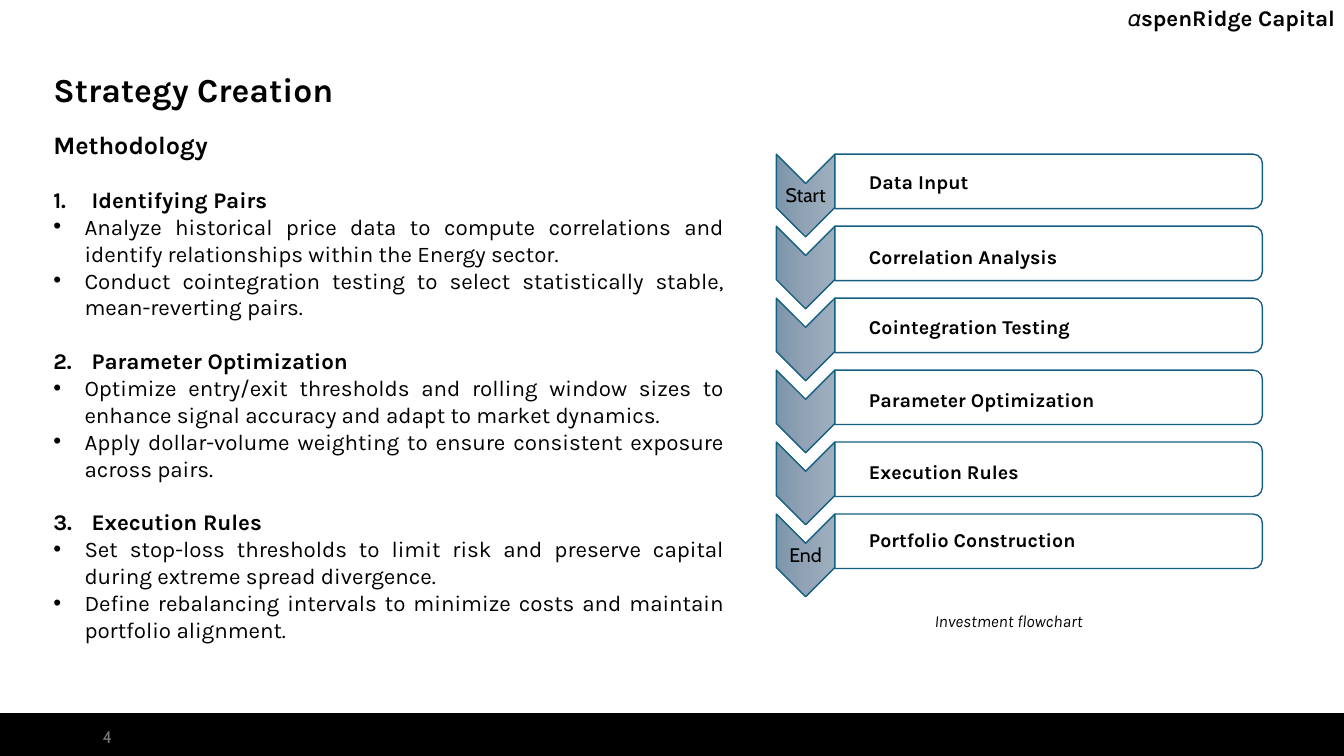
from lxml import etree
from pptx import Presentation
from pptx.dml.color import RGBColor
from pptx.enum.shapes import MSO_SHAPE as Shape
from pptx.enum.text import MSO_ANCHOR as Anchor, PP_ALIGN as Align
from pptx.oxml import parse_xml
from pptx.oxml.ns import nsdecls, qn
from pptx.util import Inches, Pt

# Content
TITLE = "Strategy Creation"
SUBTITLE = "Methodology"
SECTIONS = [
    ("Identifying Pairs", [
        "Analyze historical price data to compute correlations and identify "
        "relationships within the Energy sector.",
        "Conduct cointegration testing to select statistically stable, mean-reverting pairs.",
    ]),
    ("Parameter Optimization", [
        "Optimize entry/exit thresholds and rolling window sizes to enhance "
        "signal accuracy and adapt to market dynamics.",
        "Apply dollar-volume weighting to ensure consistent exposure across pairs.",
    ]),
    ("Execution Rules", [
        "Set stop-loss thresholds to limit risk and preserve capital during "
        "extreme spread divergence.",
        "Define rebalancing intervals to minimize costs and maintain portfolio alignment.",
    ]),
]
# Step, top of its label, word on its chevron
STEPS = [
    ("Data Input", 1.64, "Start"),
    ("Correlation Analysis", 2.38, ""),
    ("Cointegration Testing", 3.08, ""),
    ("Parameter Optimization", 3.80, ""),
    ("Execution Rules", 4.51, ""),
    ("Portfolio Construction", 5.19, "End"),
]
CAPTION = "Investment flowchart"
FIRM = "𝛼spenRidge Capital"
PAGE = "4"

COLORS = {"ink": "000000", "paper": "FFFFFF", "outline": "156082", "page": "797979",
          "light": "9EAFBF", "middle": "91A3B4", "dark": "7C95AB"}
FLOW_TOP, STEP_PITCH = 1.53, 0.714
PANEL_LEFT, PANEL_WIDTH, PANEL_HEIGHT = 8.28, 4.24, 0.54
CHEVRON_LEFT, CHEVRON_WIDTH, CHEVRON_HEIGHT = 7.7, 0.58, 0.82


def color(name):
    return RGBColor.from_string(COLORS[name])


def add_run(paragraph, text, size, bold=False, italic=False, font="Karla", ink="ink"):
    run = paragraph.add_run()
    run.text = text
    run.font.size, run.font.name = Pt(size), font
    run.font.bold, run.font.italic = bold, italic
    run.font.color.rgb = color(ink)


def add_box(left, top, width, height, wrap=True, anchor=Anchor.TOP):
    box = slide.shapes.add_textbox(Inches(left), Inches(top), Inches(width), Inches(height))
    box.text_frame.word_wrap = wrap
    box.text_frame.vertical_anchor = anchor
    return box.text_frame


def add_outlined(kind, left, top, width, height, line="outline", weight=1):
    shape = slide.shapes.add_shape(kind, Inches(left), Inches(top), Inches(width), Inches(height))
    shape.shadow.inherit = False
    shape.line.color.rgb = color(line)
    shape.line.width = Pt(weight)
    return shape


def add_turned(kind, left, top, width, height):
    """Add a shape turned by 90 degrees that covers the given area."""
    shift = (width - height) / 2
    shape = add_outlined(kind, left + shift, top - shift, height, width)
    shape.rotation = 90
    return shape


def set_marker(paragraph, indent, tag, **attributes):
    properties = paragraph._p.get_or_add_pPr()
    properties.set("marL", str(Inches(indent)))
    properties.set("indent", str(-Inches(indent)))
    if tag == "a:buChar":
        etree.SubElement(properties, qn("a:buFont")).set("typeface", "Arial")
    marker = etree.SubElement(properties, qn(tag))
    for key, value in attributes.items():
        marker.set(key, value)


def shade(shape):
    stops = "".join(f'<a:gs pos="{position}"><a:srgbClr val="{COLORS[name]}"/></a:gs>'
                    for position, name in [(0, "light"), (50000, "middle"), (100000, "dark")])
    gradient = parse_xml(f'<a:gradFill rotWithShape="1" {nsdecls("a")}><a:gsLst>{stops}</a:gsLst>'
                         '<a:lin ang="5400000" scaled="0"/></a:gradFill>')
    shape._element.spPr.find(qn("a:prstGeom")).addnext(gradient)


prs = Presentation()
prs.slide_width, prs.slide_height = Inches(13.33), Inches(7.5)
slide = prs.slides.add_slide(prs.slide_layouts[5])

# Footer band
footer = add_outlined(Shape.RECTANGLE, 0, 7.08, 13.33, 0.42, "ink", 1.5)
footer.fill.solid()
footer.fill.fore_color.rgb = color("ink")

# Title
title = slide.shapes.title
title.left, title.top, title.width, title.height = map(Inches, (0.43, 0.63, 10.95, 0.5))
title.text_frame.vertical_anchor = Anchor.TOP
heading = title.text_frame.paragraphs[0]
heading.alignment = Align.LEFT
add_run(heading, TITLE, 24, bold=True)

# Methodology
methodology = add_box(0.43, 1.23, 6.85, 5.65)
add_run(methodology.paragraphs[0], SUBTITLE, 18, bold=True)
for number, (section, points) in enumerate(SECTIONS, 1):
    section_line = methodology.add_paragraph()
    section_line.alignment = Align.JUSTIFY
    section_line.space_before = Pt(19.2)
    set_marker(section_line, 0.38, "a:buAutoNum", type="arabicPeriod", startAt=str(number))
    add_run(section_line, section, 16, bold=True)
    for point in points:
        point_line = methodology.add_paragraph()
        point_line.alignment = Align.JUSTIFY
        set_marker(point_line, 0.31, "a:buChar", char="•")
        add_run(point_line, point, 16)

# Flowchart
for index, (step, label_top, chevron_word) in enumerate(STEPS):
    top = FLOW_TOP + index * STEP_PITCH
    shade(add_turned(Shape.CHEVRON, CHEVRON_LEFT, top, CHEVRON_WIDTH, CHEVRON_HEIGHT))
    panel = add_turned(Shape.ROUND_2_SAME_RECTANGLE, PANEL_LEFT, top, PANEL_WIDTH, PANEL_HEIGHT)
    panel.fill.solid()
    panel.fill.fore_color.rgb = color("paper")
    panel_color = panel._element.spPr.find(qn("a:solidFill"))[0]
    etree.SubElement(panel_color, qn("a:alpha")).set("val", "90000")
    add_run(add_box(8.52, label_top, 3.58, 0.34).paragraphs[0], step, 14, bold=True)
    if chevron_word:
        marker_box = add_box(CHEVRON_LEFT, top + 0.29, CHEVRON_WIDTH, 0.25, anchor=Anchor.MIDDLE)
        marker_box.margin_left = marker_box.margin_right = Inches(0.01)
        marker_box.margin_top = marker_box.margin_bottom = Inches(0.01)
        marker_line = marker_box.paragraphs[0]
        marker_line.alignment = Align.CENTER
        marker_line.line_spacing = 0.9
        add_run(marker_line, chevron_word, 14, font="Cabin")

# Caption, firm name and page number
add_run(add_box(9.17, 6.01, 1.78, 0.3, wrap=False).paragraphs[0], CAPTION, 12, italic=True)
firm_line = add_box(10.95, -0.01, 2.39, 0.37).paragraphs[0]
firm_line.alignment = Align.RIGHT
add_run(firm_line, FIRM, 16, bold=True)
page_box = add_box(0.92, 7.11, 3, 0.4, anchor=Anchor.MIDDLE)
add_run(page_box.paragraphs[0], PAGE, 12, font="Cabin", ink="page")

prs.save("out.pptx")
